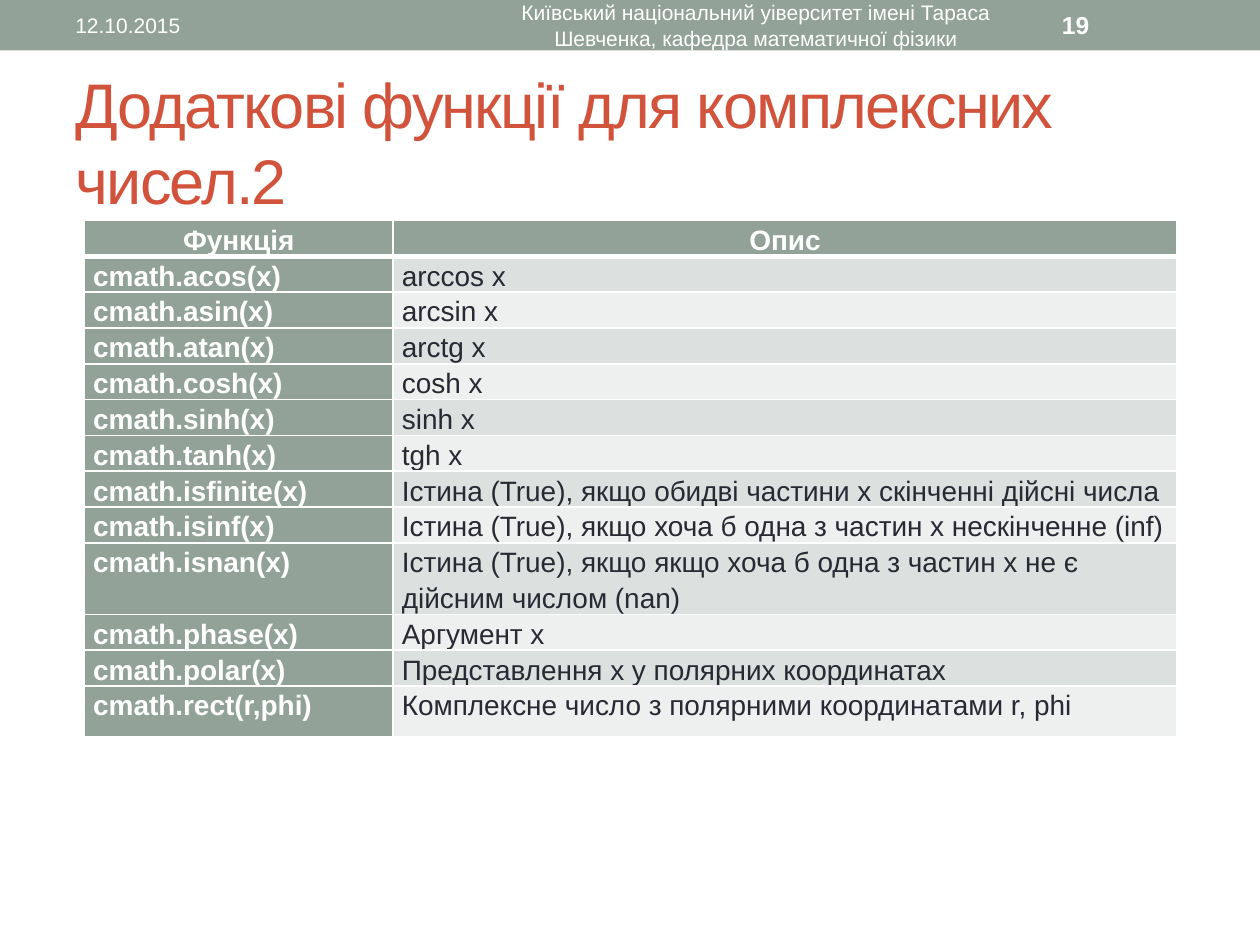
from dataclasses import dataclass

from lxml import etree
from pptx import Presentation
from pptx.dml.color import RGBColor
from pptx.enum.shapes import MSO_SHAPE
from pptx.enum.text import MSO_ANCHOR, MSO_AUTO_SIZE, PP_ALIGN
from pptx.oxml.ns import qn
from pptx.util import Inches, Pt

RECTANGLE = MSO_SHAPE.RECTANGLE
MIDDLE, TOP = MSO_ANCHOR.MIDDLE, MSO_ANCHOR.TOP
LEFT, CENTER = PP_ALIGN.LEFT, PP_ALIGN.CENTER
NO_AUTOFIT = MSO_AUTO_SIZE.NONE
TITLE_ONLY = 5


@dataclass(frozen=True)
class Theme:
    font: str = "Arial"
    sage: str = "93A299"
    accent: str = "D2533C"
    white: str = "FFFFFF"
    ink: str = "292934"
    bands: tuple = ("DCE0DE", "EEF0EF")
    title_size: int = 36
    table_size: int = 16
    number_size: int = 14
    header_size: int = 12
    rule: int = 1
    header_rule: int = 3


FUNCTIONS = [
    ("cmath.acos(x)", "arccos x"),
    ("cmath.asin(x)", "arcsin x"),
    ("cmath.atan(x)", "arctg x"),
    ("cmath.cosh(x)", "cosh x"),
    ("cmath.sinh(x)", "sinh x"),
    ("cmath.tanh(x)", "tgh x"),
    ("cmath.isfinite(x)", "Істина (True), якщо обидві частини x скінченні дійсні числа"),
    ("cmath.isinf(x)", "Істина (True), якщо хоча б одна з частин x нескінченне (inf)"),
    ("cmath.isnan(x)", "Істина (True), якщо якщо хоча б одна з частин x не є дійсним числом (nan)"),
    ("cmath.phase(x)", "Аргумент x"),
    ("cmath.polar(x)", "Представлення x у полярних координатах"),
    ("cmath.rect(r,phi)", "Комплексне число з полярними координатами r, phi"),
]


def write(frame, text, *, font, size, color, bold=False, align=LEFT,
          anchor=MIDDLE, spacing=None, tracking=None):
    frame.word_wrap = True
    frame.vertical_anchor = anchor
    paragraph = frame.paragraphs[0]
    paragraph.alignment = align
    paragraph.line_spacing = spacing
    run = paragraph.add_run()
    run.text = text
    run.font.name = font
    run.font.size = Pt(size)
    run.font.bold = bold
    run.font.color.rgb = RGBColor.from_string(color)
    if tracking is not None:
        run.font._element.set("spc", str(tracking * 100))


class SlideBuilder:
    def __init__(self, deck, theme):
        self.theme = theme
        self.width, self.height = deck.slide_width, deck.slide_height
        self.slide = deck.slides.add_slide(deck.slide_layouts[TITLE_ONLY])

    def box(self, left, top, width, height):
        return (round(left * self.width), round(top * self.height),
                round(width * self.width), round(height * self.height))

    def band(self, *shares):
        band = self.slide.shapes.add_shape(RECTANGLE, *self.box(*shares))
        band.shadow.inherit = False
        band.fill.solid()
        band.fill.fore_color.rgb = RGBColor.from_string(self.theme.sage)
        band.line.fill.background()

    def title(self, text, *shares):
        title = self.slide.shapes.title
        title.left, title.top, title.width, title.height = self.box(*shares)
        title.text_frame.auto_size = NO_AUTOFIT
        write(title.text_frame, text, font=self.theme.font, size=self.theme.title_size,
              color=self.theme.accent, tracking=-1)

    def label(self, text, *shares, **style):
        label = self.slide.shapes.add_textbox(*self.box(*shares))
        style = {"size": self.theme.header_size, **style}
        write(label.text_frame, text, font=self.theme.font, color=self.theme.white, **style)

    def cell(self, cell, text, *, fill, color, bold, align, rules):
        cell.margin_left = cell.margin_right = Inches(0.07)
        cell.margin_top = cell.margin_bottom = 0
        write(cell.text_frame, text, font=self.theme.font, size=self.theme.table_size,
              color=color, bold=bold, align=align, anchor=TOP, spacing=1.15)
        cell.vertical_anchor = TOP
        cell.fill.solid()
        cell.fill.fore_color.rgb = RGBColor.from_string(fill)
        properties = cell._tc.get_or_add_tcPr()
        for position, (side, points) in enumerate(rules.items()):
            line = etree.Element(qn(f"a:ln{side}"), w=str(Pt(points)))
            solid = etree.SubElement(line, qn("a:solidFill"))
            etree.SubElement(solid, qn("a:srgbClr"), val=self.theme.white)
            properties.insert(position, line)

    def table(self, header, entries, *shares, columns, row, last_row):
        theme = self.theme
        rows = [header, *entries]
        table = self.slide.shapes.add_table(
            len(rows), len(header), *self.box(*shares)).table
        for column, share in zip(table.columns, columns):
            column.width = round(share * self.width)
        for table_row in table.rows:
            table_row.height = round(row * self.height)
        table.rows[len(rows) - 1].height = round(last_row * self.height)
        for r, texts in enumerate(rows):
            rules = {"L": theme.rule, "R": theme.rule,
                     "T": theme.header_rule if r == 1 else theme.rule,
                     "B": theme.header_rule if r == 0 else theme.rule}
            for c, text in enumerate(texts):
                heading = r == 0 or c == 0
                self.cell(table.cell(r, c), text, rules=rules, bold=heading,
                          fill=theme.sage if heading else theme.bands[(r - 1) % 2],
                          color=theme.white if heading else theme.ink,
                          align=CENTER if r == 0 else LEFT)


def main():
    deck = Presentation()
    deck.slide_width, deck.slide_height = Inches(10), Inches(7.5)
    theme = Theme()
    page = SlideBuilder(deck, theme)
    inch_x, inch_y = 1 / 10, 1 / 7.5
    header_top, header_height = 0.02 * inch_y, 0.36 * inch_y

    page.band(0, 0, 1, 0.4 * inch_y)
    page.title("Додаткові функції для комплексних чисел.2",
               0.05, 0.58 * inch_y, 0.9, 1.08 * inch_y)
    page.table(("Функція", "Опис"), FUNCTIONS,
               0.67 * inch_x, 1.75 * inch_y, 8.67 * inch_x, 4.38 * inch_y,
               columns=(2.45 * inch_x, 6.22 * inch_x),
               row=0.2 * inch_y, last_row=0.4 * inch_y)
    page.label("12.10.2015", 0.05, header_top, 3.17 * inch_x, header_height)
    page.label("Київський національний уіверситет імені Тараса Шевченка, "
               "кафедра математичної фізики",
               0.375, header_top, 0.45, header_height, align=CENTER)
    page.label("19", 8.33 * inch_x, header_top, 1.17 * inch_x, header_height,
               size=theme.number_size, bold=True)
    deck.save("out.pptx")


if __name__ == "__main__":
    main()
